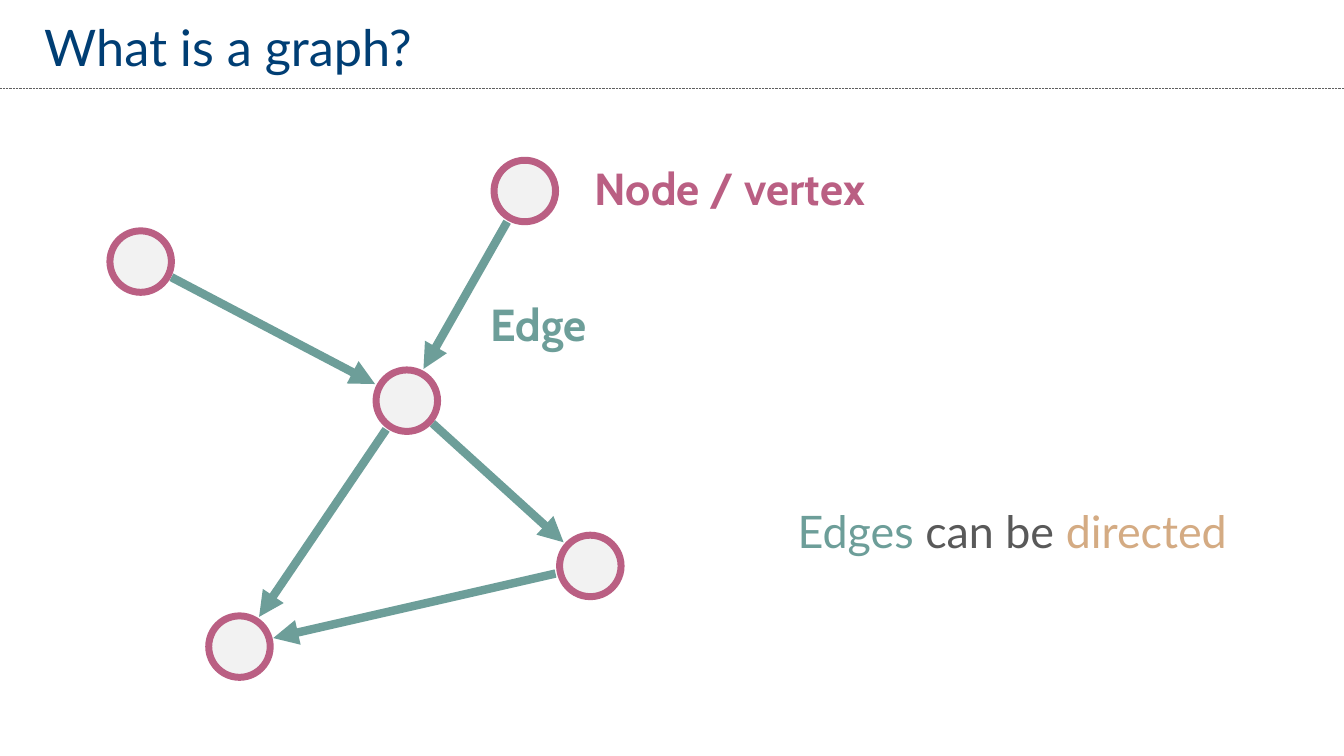
import math

from lxml import etree
from pptx import Presentation
from pptx.dml.color import RGBColor
from pptx.enum.dml import MSO_LINE
from pptx.enum.shapes import MSO_CONNECTOR, MSO_SHAPE
from pptx.enum.text import MSO_ANCHOR, MSO_AUTO_SIZE, PP_ALIGN
from pptx.oxml.ns import qn
from pptx.util import Emu, Pt

PX = 9144  # 100 px to the inch
STRAIGHT = MSO_CONNECTOR.STRAIGHT
OVAL = MSO_SHAPE.OVAL
DOTTED = MSO_LINE.ROUND_DOT
LEFT, CENTER = PP_ALIGN.LEFT, PP_ALIGN.CENTER
TOP, MIDDLE = MSO_ANCHOR.TOP, MSO_ANCHOR.MIDDLE
FIT_SHAPE, FIXED = MSO_AUTO_SIZE.SHAPE_TO_FIT_TEXT, MSO_AUTO_SIZE.NONE

NAVY, ROSE, TEAL, SAND = "003E74", "BA5F83", "6D9E99", "D4AB83"
DARK_GRAY, RULE_GRAY, NODE_FILL = "595959", "606060", "F2F2F2"

NODE_SIZE = 61
EDGE_GAP = 35  # from a node's centre to the end of an edge
NODES = {
    "left": (139, 259),
    "top": (520, 189),
    "middle": (403, 397),
    "bottom": (237, 641),
    "right": (585, 561),
}
EDGES = [
    ("left", "middle"),
    ("top", "middle"),
    ("middle", "right"),
    ("middle", "bottom"),
    ("right", "bottom"),
]


def px(*lengths):
    return [Emu(length * PX) for length in lengths]


def color(hex_string):
    return RGBColor.from_string(hex_string)


def add_line(slide, start, end, line_color, width, dash=None, arrow=False):
    line = slide.shapes.add_connector(STRAIGHT, *px(*start, *end))
    line.line.color.rgb = color(line_color)
    line.line.width = Pt(width)
    if dash:
        line.line.dash_style = dash
    if arrow:
        outline = line.line._get_or_add_ln()
        etree.SubElement(outline, qn("a:tailEnd"), type="triangle")
    etree.SubElement(line._element.spPr, qn("a:effectLst"))


def add_edge(slide, source, target):
    """Draw an arrow between two node centres, stopping short of both circles."""
    angle = math.atan2(target[1] - source[1], target[0] - source[0])
    dx = round(EDGE_GAP * math.cos(angle))
    dy = round(EDGE_GAP * math.sin(angle))
    start = (source[0] + dx, source[1] + dy)
    end = (target[0] - dx, target[1] - dy)
    add_line(slide, start, end, TEAL, 6, arrow=True)


def add_node(slide, center):
    corner = [position - NODE_SIZE // 2 for position in center]
    node = slide.shapes.add_shape(OVAL, *px(*corner, NODE_SIZE, NODE_SIZE))
    node.shadow.inherit = False
    node.fill.solid()
    node.fill.fore_color.rgb = color(NODE_FILL)
    node.line.color.rgb = color(ROSE)
    node.line.width = Pt(5)


def add_text(slide, runs, box, font="Lato", size=32, bold=False, align=LEFT,
             anchor=TOP, wrap=True, auto_size=FIT_SHAPE):
    """Add one paragraph made of (text, colour) runs."""
    frame = slide.shapes.add_textbox(*px(*box)).text_frame
    frame.word_wrap = wrap
    frame.auto_size = auto_size
    frame.vertical_anchor = anchor
    paragraph = frame.paragraphs[0]
    paragraph.alignment = align
    for text, text_color in runs:
        run = paragraph.add_run()
        run.text = text
        run.font.name = font
        run.font.size = Pt(size)
        run.font.bold = bold
        run.font.color.rgb = color(text_color)


def main():
    presentation = Presentation()
    presentation.slide_width, presentation.slide_height = px(1333, 750)
    slide = presentation.slides.add_slide(presentation.slide_layouts[6])

    add_line(slide, (0, 88), (1333, 88), RULE_GRAY, 0.5, dash=DOTTED)
    add_text(slide, [("What is a graph?", NAVY)], (34, 21, 1272, 49),
             size=36, anchor=MIDDLE, auto_size=FIXED)

    for source, target in EDGES:
        add_edge(slide, NODES[source], NODES[target])
    for center in NODES.values():
        add_node(slide, center)

    add_text(slide, [("Node / vertex", ROSE)], (580, 155, 289, 64),
             font="Cabin", bold=True, wrap=False)
    add_text(slide, [("Edge", TEAL)], (477, 289, 119, 64),
             font="Cabin", bold=True, wrap=False)
    add_text(slide, [("Edges", TEAL), (" can be ", DARK_GRAY), ("directed", SAND)],
             (748, 495, 512, 64), align=CENTER)

    presentation.save("out.pptx")


if __name__ == "__main__":
    main()
